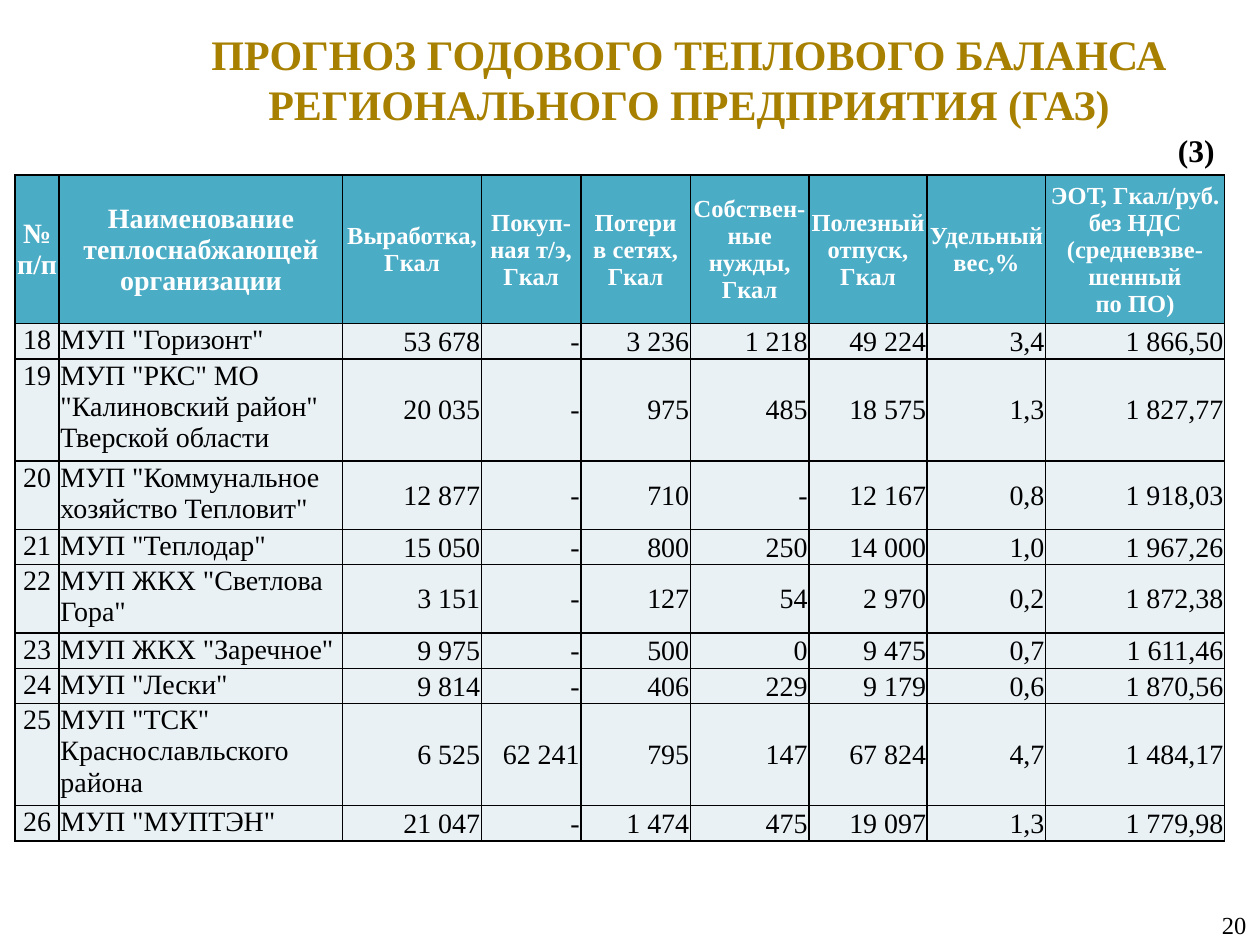
import pptx
import pptx.util
import pptx.dml.color
import pptx.enum.text
import pptx.oxml
import pptx.oxml.ns
from dataclasses import dataclass

Inches = pptx.util.Inches
Align = pptx.enum.text.PP_ALIGN
Anchor = pptx.enum.text.MSO_ANCHOR


@dataclass(frozen=True)
class Theme:
    font: str = "Times New Roman"
    title_color: str = "A88000"
    ink: str = "000000"
    header_ink: str = "FFFFFF"
    header_fill: str = "4BACC6"
    row_fill: str = "E9F1F5"
    title_size: int = 24
    mark_size: int = 18
    body_size: int = 16
    small_size: int = 14
    border_width: int = 1


class HeatBalancePage:
    def __init__(self, deck, theme):
        self.theme = theme
        self.page = deck.slides.add_slide(deck.slide_layouts[6])

    def style(self, para, size, color, bold=False, align=Align.LEFT):
        para.alignment = align
        para.font.name = self.theme.font
        para.font.size = pptx.util.Pt(size)
        para.font.bold = bold
        para.font.color.rgb = pptx.dml.color.RGBColor.from_string(color)

    def text(self, words, place, size, color, bold=False, align=Align.LEFT, anchor=Anchor.TOP):
        box = self.page.shapes.add_textbox(*map(Inches, place))
        frame = box.text_frame
        frame.word_wrap = True
        frame.vertical_anchor = anchor
        frame.text = words
        self.style(frame.paragraphs[0], size, color, bold, align)

    def borders(self, cell):
        props = cell._tc.get_or_add_tcPr()
        width = pptx.util.Pt(self.theme.border_width)
        for position, side in enumerate(("lnL", "lnR", "lnT", "lnB")):
            line = pptx.oxml.parse_xml(
                f'<a:{side} {pptx.oxml.ns.nsdecls("a")} w="{width}"><a:solidFill>'
                f'<a:srgbClr val="{self.theme.ink}"/></a:solidFill></a:{side}>')
            props.insert(position, line)

    def cell(self, cell, words, fill, size, color, bold, align, anchor):
        cell.margin_left = cell.margin_right = cell.margin_top = Inches(0.01)
        cell.margin_bottom = 0
        cell.vertical_anchor = anchor
        cell.fill.solid()
        cell.fill.fore_color.rgb = pptx.dml.color.RGBColor.from_string(fill)
        cell.text = words
        self.style(cell.text_frame.paragraphs[0], size, color, bold, align)
        self.borders(cell)

    def table(self, place, widths, heights, headings, rows):
        theme = self.theme
        table = self.page.shapes.add_table(
            len(rows) + 1, len(headings), *map(Inches, place)).table
        table.horz_banding = False
        for column, width in zip(table.columns, widths):
            column.width = Inches(width)
        for row, height in zip(table.rows, heights):
            row.height = Inches(height)

        # Heading row: the two name columns use the larger size
        for col, words in enumerate(headings):
            size = theme.body_size if col < 2 else theme.small_size
            self.cell(table.cell(0, col), words, theme.header_fill, size,
                      theme.header_ink, True, Align.CENTER, Anchor.MIDDLE)

        # Data rows: number, name, then right-aligned figures
        for index, values in enumerate(rows, start=1):
            for col, words in enumerate(values):
                align = (Align.CENTER, Align.LEFT, Align.RIGHT)[min(col, 2)]
                anchor = Anchor.TOP if col < 2 else Anchor.MIDDLE
                self.cell(table.cell(index, col), words, theme.row_fill,
                          theme.body_size, theme.ink, False, align, anchor)


HEADINGS = (
    "№ п/п", "Наименование теплоснабжающей организации", "Выработка, Гкал",
    "Покуп-ная т/э, Гкал", "Потери\vв сетях, Гкал", "Собствен-ные нужды, Гкал",
    "Полезный отпуск, Гкал", "Удельный вес,%",
    "ЭОТ, Гкал/руб. без НДС (средневзве-шенный\vпо ПО)",
)
# Lines taken by the name, then the name and its figures
SUPPLIERS = (
    (1, 'МУП "Горизонт"', "53 678", "-", "3 236", "1 218", "49 224", "3,4", "1 866,50"),
    (3, 'МУП "РКС" МО "Калиновский район" Тверской области',
     "20 035", "-", "975", "485", "18 575", "1,3", "1 827,77"),
    (2, 'МУП "Коммунальное хозяйство Тепловит"',
     "12 877", "-", "710", "-", "12 167", "0,8", "1 918,03"),
    (1, 'МУП "Теплодар"', "15 050", "-", "800", "250", "14 000", "1,0", "1 967,26"),
    (2, 'МУП ЖКХ "Светлова Гора"', "3 151", "-", "127", "54", "2 970", "0,2", "1 872,38"),
    (1, 'МУП ЖКХ "Заречное"', "9 975", "-", "500", "0", "9 475", "0,7", "1 611,46"),
    (1, 'МУП "Лески"', "9 814", "-", "406", "229", "9 179", "0,6", "1 870,56"),
    (3, 'МУП "ТСК" Краснославльского района',
     "6 525", "62 241", "795", "147", "67 824", "4,7", "1 484,17"),
    (1, 'МУП "МУПТЭН"', "21 047", "-", "1 474", "475", "19 097", "1,3", "1 779,98"),
)
FIRST_NUMBER = 18
COLUMN_WIDTHS = (0.35, 2.25, 1.1, 0.79, 0.87, 0.94, 0.94, 0.94, 1.42)
HEADING_HEIGHT = 1.17
HEIGHT_BY_LINES = {1: 0.28, 2: 0.54, 3: 0.81}


def main():
    deck = pptx.Presentation()
    deck.slide_width, deck.slide_height = Inches(10), Inches(7.5)
    theme = Theme()
    page = HeatBalancePage(deck, theme)

    # Page number
    page.text("20", (9.6, 7.17, 2.33, 0.34), theme.small_size, theme.ink,
              anchor=Anchor.MIDDLE)

    # Heat balance table
    heights = [HEADING_HEIGHT] + [HEIGHT_BY_LINES[lines] for lines, *_ in SUPPLIERS]
    rows = [(str(number), *values)
            for number, (_, *values) in enumerate(SUPPLIERS, start=FIRST_NUMBER)]
    page.table((0.12, 1.39, sum(COLUMN_WIDTHS), sum(heights)),
               COLUMN_WIDTHS, heights, HEADINGS, rows)

    # Title and part number
    page.text("ПРОГНОЗ ГОДОВОГО ТЕПЛОВОГО БАЛАНСА РЕГИОНАЛЬНОГО ПРЕДПРИЯТИЯ (ГАЗ)",
              (1.22, -0.03, 8.5, 1.31), theme.title_size, theme.title_color,
              True, Align.CENTER, Anchor.MIDDLE)
    page.text("(3)", (9.25, 0.99, 0.55, 0.4), theme.mark_size, theme.ink,
              True, Align.JUSTIFY)

    deck.save("out.pptx")


if __name__ == "__main__":
    main()
